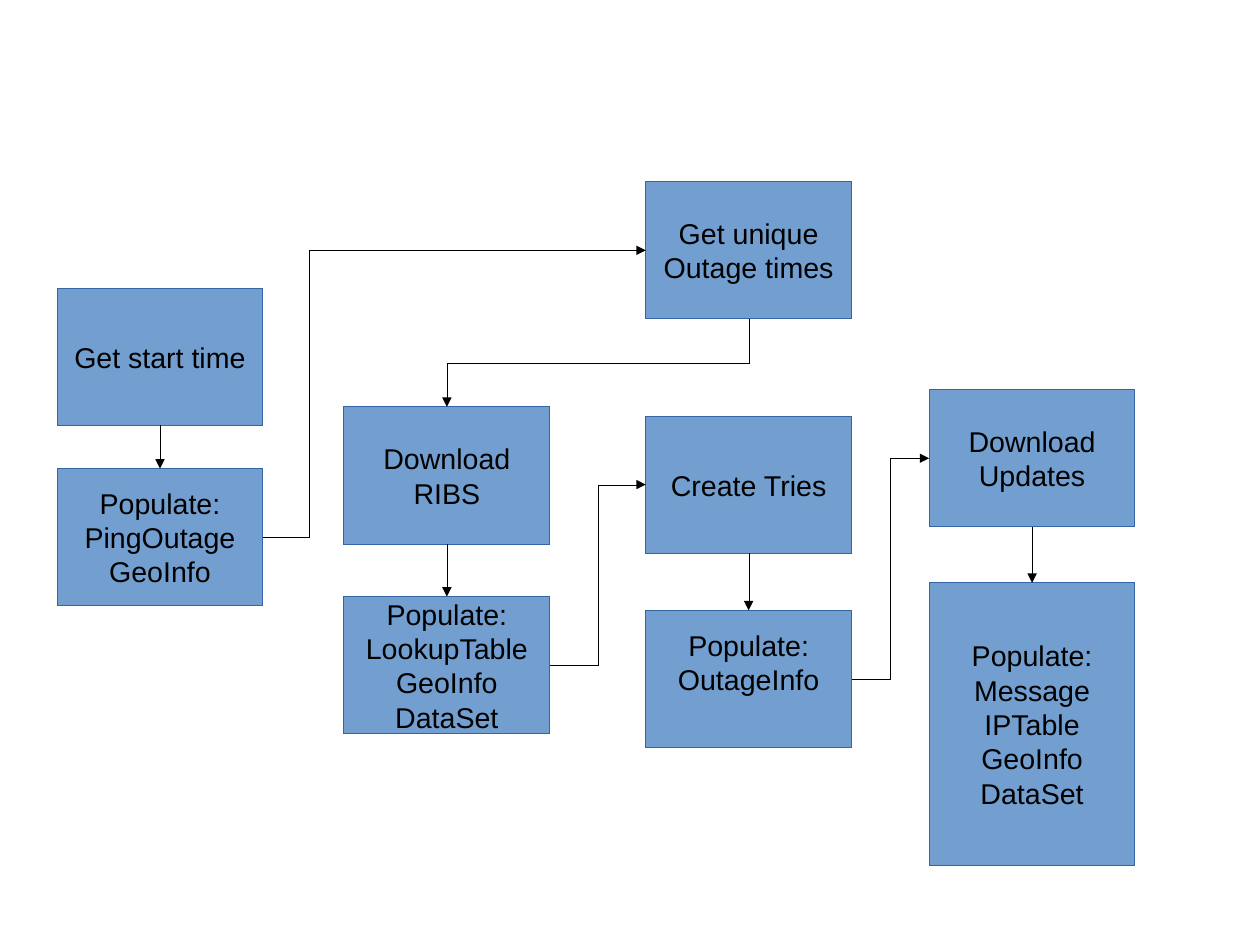
from lxml import etree
from pptx import Presentation, util as u
from pptx.dml.color import RGBColor
from pptx.enum import shapes, text
from pptx.oxml.ns import qn

WIDE, HIGH = 28, 21
COLS = (0.5, 3.01, 5.65, 8.13)
BOX_W, BOX_H = 1.8, 1.2
TOP, LEFT, BASE, RIGHT = range(4)

STEPS = {
    "start": (0, 2.52, "Get start time", {}),
    "ping": (0, 4.1, "Populate:\nPingOutage\nGeoInfo", {}),
    "table": (1, 5.22, "Populate:\nLookupTable\nGeoInfo\nDataSet", {}),
    "ribs": (1, 3.56, "Download\nRIBS", {}),
    "times": (2, 1.59, "Get unique\nOutage times", {}),
    "outage": (2, 5.34, "Populate:\nOutageInfo", {"pad": 0.35}),
    "tries": (2, 3.64, "Create Tries", {}),
    "message": (3, 5.1, "Populate:\nMessage\nIPTable\nGeoInfo\nDataSet",
                {"high": 2.47}),
    "update": (3, 3.41, "Download\nUpdates", {}),
}
DROPS = (("start", "ping"), ("ribs", "table"),
         ("tries", "outage"), ("update", "message"))
RISES = (("ping", "times", 0.12), ("table", "tries", 0.5),
         ("outage", "update", 0.5))


def paint(part, color):
    part.solid()
    part.fore_color.rgb = RGBColor.from_string(color)


def edge(shape, color):
    paint(shape.line.fill, color)
    line = shape._element.spPr.find(qn("a:ln"))
    line.set("w", "0")
    return line


def write(shape, words, size=18, font="Arial", color="000000", pad=0.05):
    frame = shape.text_frame
    frame.word_wrap = False
    frame.vertical_anchor = text.MSO_ANCHOR.MIDDLE
    frame.margin_left = frame.margin_right = u.Inches(0.1)
    frame.margin_top, frame.margin_bottom = u.Inches(0.05), u.Inches(pad)
    frame.text = words
    for para in frame.paragraphs:
        para.alignment = text.PP_ALIGN.CENTER
        for run in para.runs:
            run.font.size = u.Pt(size)
            run.font.name = font
            paint(run.font.fill, color)


def box(slide, col, top, words, high=BOX_H, **style):
    shape = slide.shapes.add_shape(
        shapes.MSO_SHAPE.FLOWCHART_PROCESS,
        *map(u.Inches, (COLS[col], top, BOX_W, high)))
    shape.shadow.inherit = False
    paint(shape.fill, "729FCF")
    edge(shape, "3465A4")
    write(shape, words, **style)
    return shape


def arrow(slide, kind, tail, out, head, into):
    line = slide.shapes.add_connector(kind, 0, 0, 0, 0)
    line.begin_connect(tail, out)
    line.end_connect(head, into)
    etree.SubElement(edge(line, "000000"), qn("a:tailEnd"), type="triangle")
    etree.SubElement(line._element.spPr, qn("a:effectLst"))
    return line


def drop(slide, tail, head):
    arrow(slide, shapes.MSO_CONNECTOR.STRAIGHT, tail, BASE, head, TOP)


def bend(slide, tail, out, head, into, share=0.5):
    line = arrow(slide, shapes.MSO_CONNECTOR.ELBOW, tail, out, head, into)
    guides = line._element.spPr.find(qn("a:prstGeom")).get_or_add_avLst()
    etree.SubElement(guides, qn("a:gd"), name="adj1",
                     fmla=f"val {round(share * 100000)}")
    return line


def turn(line):
    wide, high = line.width, line.height
    line.left += (wide - high) // 2
    line.top += (high - wide) // 2
    line.width, line.height = high, wide
    frame = line._element.spPr.find(qn("a:xfrm"))
    frame.set("rot", "5400000")
    frame.set("flipH", "0")


def main():
    deck = Presentation()
    deck.slide_width, deck.slide_height = u.Cm(WIDE), u.Cm(HIGH)
    slide = deck.slides.add_slide(deck.slide_layouts[6])
    flow = {name: box(slide, col, top, words, **style)
            for name, (col, top, words, style) in STEPS.items()}
    for tail, head in DROPS:
        drop(slide, flow[tail], flow[head])
    for tail, head, share in RISES:
        bend(slide, flow[tail], RIGHT, flow[head], LEFT, share)
    turn(bend(slide, flow["times"], BASE, flow["ribs"], TOP))
    deck.save("out.pptx")


if __name__ == "__main__":
    main()
